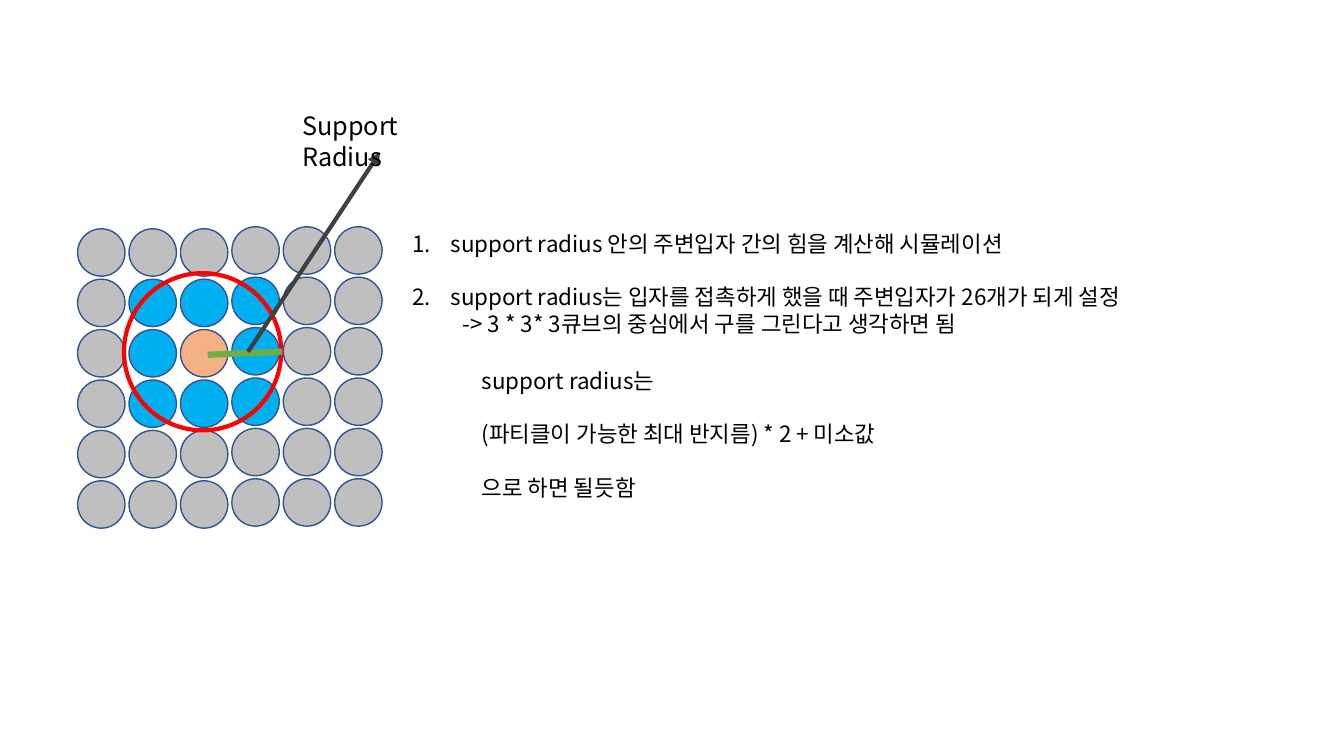
from lxml.etree import SubElement
from pptx import Presentation
from pptx.dml.color import RGBColor
from pptx.enum.shapes import MSO_CONNECTOR as CONN, MSO_SHAPE as SHAPE
from pptx.enum.text import MSO_ANCHOR as ANCHOR, MSO_AUTO_SIZE as AUTO, PP_ALIGN as ALIGN
from pptx.oxml.ns import qn
from pptx.util import Inches, Pt

FONT = "Noto Sans CJK KR"
COLORS = {
    "outer": "BFBFBF", "near": "00B0F0", "center": "F4B183", "outline": "325491",
    "support": "FF0000", "radius": "70AD47", "arrow": "404040", "text": "000000",
}
KINDS = {"o": "outer", "n": "near", "c": "center"}
PARTICLES = ["oooooo", "onnnoo", "oncnoo", "onnnoo", "oooooo", "oooooo"]
DIAMETER, COL_STEP, ROW_STEP, RIGHT_LIFT = 0.47, 0.51, 0.5, 0.02


def color(name):
    return RGBColor.from_string(COLORS[name])


def set_attrs(obj, values):
    for name, value in values.items():
        setattr(obj, name, value)


def add_circle(shapes, x, y, size, fill, line, width):
    sp = shapes.add_shape(SHAPE.OVAL, *map(Inches, (x, y, size, size)))
    sp.shadow.inherit = False
    if fill:
        sp.fill.solid()
        sp.fill.fore_color.rgb = color(fill)
    else:
        sp.fill.background()
    sp.line.color.rgb = color(line)
    sp.line.width = Pt(width)


def add_line(s, start, end, line, width, arrow=False):
    cn = s.shapes.add_connector(CONN.STRAIGHT, *map(Inches, start + end))
    cn.line.color.rgb = color(line)
    cn.line.width = Pt(width)
    if arrow:
        SubElement(cn.line._get_or_add_ln(), qn("a:tailEnd"), type="triangle")
    SubElement(cn._element.spPr, qn("a:effectLst"))


def setup_frame(sp):
    tf = sp.text_frame
    set_attrs(tf, {
        "word_wrap": True, "auto_size": AUTO.NONE, "vertical_anchor": ANCHOR.TOP,
        "margin_left": Inches(0.1), "margin_right": Inches(0.1),
        "margin_top": Inches(0.05), "margin_bottom": Inches(0.05),
    })
    return tf


def write_paragraph(tf, text, first, size, pitch, before=0, level=0):
    p = tf.paragraphs[0] if first else tf.add_paragraph()
    set_attrs(p, {
        "alignment": ALIGN.LEFT, "level": level, "line_spacing": Pt(pitch),
        "space_before": Pt(before), "space_after": Pt(0),
    })
    r = p.add_run()
    r.text = text
    set_attrs(r.font, {"name": FONT, "size": Pt(size), "bold": False})
    r.font.color.rgb = color("text")
    SubElement(r._r.get_or_add_rPr(), qn("a:ea"), typeface=FONT)
    return p


def set_indent(p, left, hanging, numbered):
    pPr = p._p.get_or_add_pPr()
    pPr.set("marL", str(Inches(left)))
    pPr.set("indent", str(Inches(-hanging)))
    if numbered:
        SubElement(pPr, qn("a:buFont"), typeface="+mj-lt")
        SubElement(pPr, qn("a:buAutoNum"), type="arabicPeriod")
    else:
        SubElement(pPr, qn("a:buNone"))


def add_particles(s, x, y):
    group = s.shapes.add_group_shape()
    for i, row in enumerate(PARTICLES):
        for j, kind in enumerate(row):
            lift = RIGHT_LIFT if j > 2 else 0
            add_circle(group.shapes, x + j * COL_STEP, y + i * ROW_STEP - lift,
                       DIAMETER, KINDS[kind], "outline", 1)
    add_circle(group.shapes, x + 0.46, y + 0.44, 1.56, None, "support", 3)
    add_line(s, (x + 1.29, y + 1.25), (x + 2.03, y + 1.22), "radius", 4.5)
    add_line(s, (x + 1.69, y + 1.22), (x + 3.0, y - 0.76), "arrow", 3, True)


def add_notes_list(s, x, y, w, h):
    sp = s.placeholders[1]
    set_attrs(sp, dict(zip(("left", "top", "width", "height"), map(Inches, (x, y, w, h)))))
    tf = setup_frame(sp)
    items = [
        ("support radius 안의 주변입자 간의 힘을 계산해 시뮬레이션", 0, 0),
        ("support radius는 입자를 접촉하게 했을 때 주변입자가 26개가 되게 설정", 0, 19.2),
        ("-> 3 * 3* 3큐브의 중심에서 구를 그린다고 생각하면 됨", 1, 0),
    ]
    for i, (text, level, before) in enumerate(items):
        p = write_paragraph(tf, text, i == 0, 16, 19.2, before, level)
        set_indent(p, *((0.5, 0, False) if level else (0.38, 0.38, True)))


def add_text(s, x, y, w, h, lines, size, pitch, gap=0):
    tf = setup_frame(s.shapes.add_textbox(*map(Inches, (x, y, w, h))))
    for i, text in enumerate(lines):
        write_paragraph(tf, text, i == 0, size, pitch, gap if i else 0)


def main():
    prs = Presentation()
    prs.slide_width, prs.slide_height = Inches(13.33), Inches(7.5)
    s = prs.slides.add_slide(prs.slide_layouts[1])
    title = s.shapes.title._element
    title.getparent().remove(title)
    add_particles(s, 0.77, 2.27)
    add_notes_list(s, 3.99, 2.23, 7.88, 1.21)
    add_text(s, 2.9, 1.04, 1.5, 0.72, ["Support Radius"], 18, 22.2)
    formula = ["support radius는", "(파티클이 가능한 최대 반지름) * 2 + 미소값", "으로 하면 될듯함"]
    add_text(s, 4.68, 3.59, 5.08, 1.45, formula, 16, 19.2, 19.2)
    prs.save("out.pptx")


if __name__ == "__main__":
    main()
